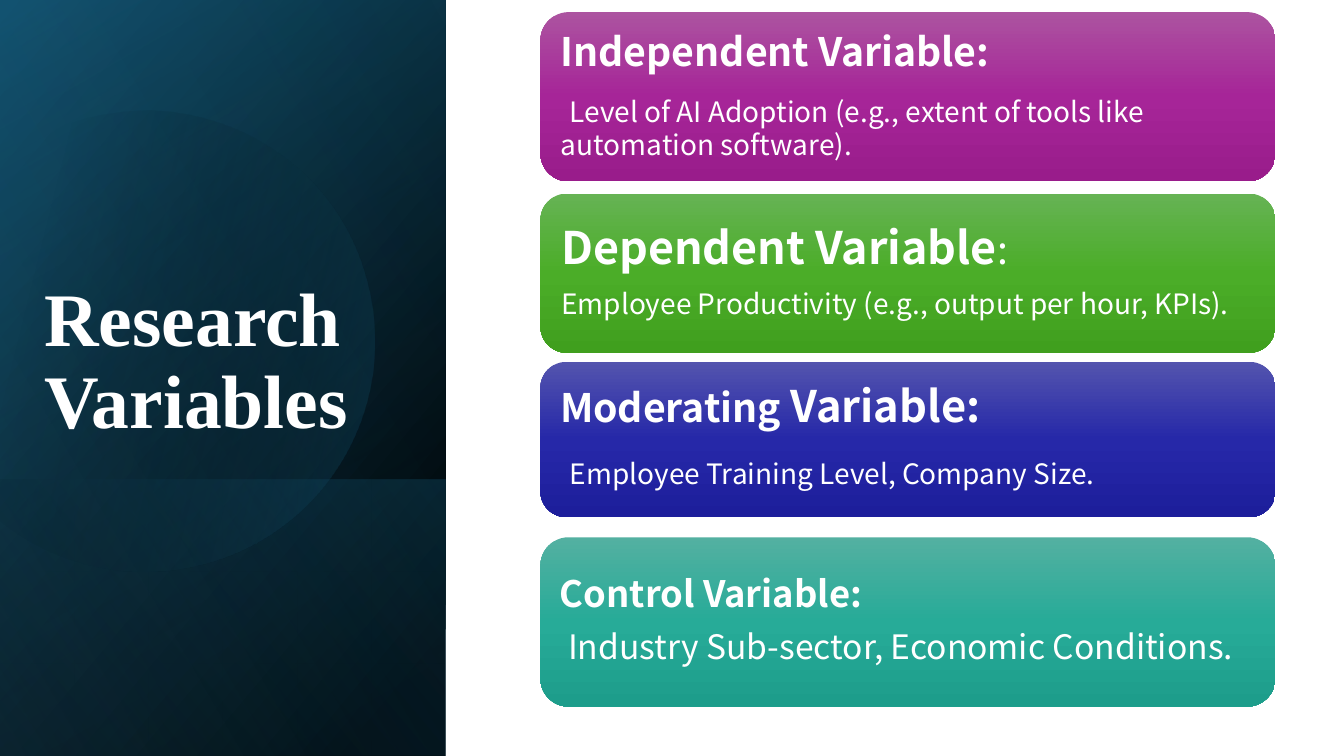
"""Build the Research Variables slide: a dark title panel beside four gradient cards."""
import math

from lxml import etree
from pptx import Presentation
from pptx import util as u
from pptx.dml.color import RGBColor
from pptx.enum import shapes, text
from pptx.oxml.ns import qn

COLORS = {
    "white": "FFFFFF", "black": "000000", "navy": "104862", "teal": "156082", "sky": "46B1E1",
    "purple light": "AC53A0", "purple": "A62598", "purple dark": "991C8B",
    "green light": "66B354", "green": "4BAD28", "green dark": "409F1E",
    "blue light": "5354AE", "blue": "2628A8", "blue dark": "1D1E9B",
    "mint light": "53B0A1", "mint": "27AB98", "mint dark": "1D9D8B",
}


def paint(shape, angle, stops):
    """Give a shape a linear gradient of (position, color, opacity) stops, with no line or shadow."""
    shape.shadow.inherit = False
    shape.line.fill.background()
    shape.fill.gradient()
    gradient = shape._element.spPr.find(qn("a:gradFill"))
    gradient.set("rotWithShape", "1")
    for child in list(gradient):
        gradient.remove(child)
    stop_list = etree.SubElement(gradient, qn("a:gsLst"))
    for position, color, opacity in stops:
        stop = etree.SubElement(stop_list, qn("a:gs"), pos=str(position * 1000))
        value = etree.SubElement(stop, qn("a:srgbClr"), val=COLORS[color])
        if opacity < 100:
            etree.SubElement(value, qn("a:alpha"), val=str(opacity * 1000))
    etree.SubElement(gradient, qn("a:lin"), ang=str(angle * 60000), scaled="0")


def add_span(para, words, size, bold, font):
    """Add one white run to a paragraph."""
    span = para.add_run()
    span.text = words
    for name, value in {"name": font, "size": u.Pt(size), "bold": bold}.items():
        setattr(span.font, name, value)
    span.font.color.rgb = RGBColor.from_string(COLORS["white"])


deck = Presentation()
deck.slide_width, deck.slide_height = u.Inches(13.33), u.Inches(7.5)
page = deck.slides.add_slide(deck.slide_layouts[6])

PANEL_WIDTH = 4.42
full, foot = (-1.54, 1.54, 7.5), (0.84, 3.92, 2.74)
layers = [
    (full, 50, [(8, "black", 100), (100, "navy", 100)]),
    (full, 30, [(0, "black", 0), (99, "teal", 46)]),
    (foot, 130, [(2, "teal", 29), (100, "black", 30)]),
    ("disc", 30, [(29, "black", 0), (100, "teal", 43)]),
    (full, 120, [(0, "black", 0), (99, "sky", 11)]),
]

DISC_TILT = 16.1
DISC_CENTER = (1.58, 3.34)
disc_start = (1.49, 1.1)
disc_outline = [
    [(2.46, 1.12), (3.35, 1.77), (3.63, 2.75)],
    [(3.98, 3.97), (3.28, 5.23), (2.07, 5.58)],
    [(1.31, 5.8), (0.53, 5.61), (-0.03, 5.14)],
    [(-0.15, 5.03)],
    [(-0.15, 1.75)],
    [(0, 1.61)],
    [(0.23, 1.42), (0.5, 1.28), (0.8, 1.19)],
    [(1.03, 1.13), (1.26, 1.1), (1.49, 1.1)],
]
cosine, sine = math.cos(math.radians(DISC_TILT)), math.sin(math.radians(DISC_TILT))
upright = []
for x, y in [disc_start] + [point for step in disc_outline for point in step]:
    across, down = x - DISC_CENTER[0], y - DISC_CENTER[1]
    upright.append((round(100 * (DISC_CENTER[0] + across * cosine - down * sine)),
                    round(100 * (DISC_CENTER[1] + across * sine + down * cosine))))

for place, angle, stops in layers:
    if place == "disc":
        builder = page.shapes.build_freeform(*upright[0], scale=u.Inches(0.01))
        builder.add_line_segments(upright[1:], close=True)
        layer = builder.convert_to_shape()
        layer.rotation = 360 - DISC_TILT
        corners = iter(list(layer._element.spPr.iter(qn("a:lnTo"))))
        for step in disc_outline:
            group = [next(corners) for _ in step]
            if len(group) == 3:
                curve = etree.Element(qn("a:cubicBezTo"))
                group[0].addprevious(curve)
                for corner in group:
                    curve.append(corner[0])
                    corner.getparent().remove(corner)
    else:
        left, top, length = place
        layer = page.shapes.add_shape(shapes.MSO_SHAPE.RECTANGLE, u.Inches(left), u.Inches(top),
                                      u.Inches(length), u.Inches(PANEL_WIDTH))
        layer.rotation = 90
        layer._element.spPr.find(qn("a:xfrm")).set("flipH", "1")
    paint(layer, angle, stops)

title = page.shapes.add_textbox(u.Inches(0.34), u.Inches(2.29), u.Inches(4.07), u.Inches(2.17))
title.text_frame.word_wrap = True
title.text_frame.vertical_anchor = text.MSO_ANCHOR.BOTTOM
title_para = title.text_frame.paragraphs[0]
title_para.line_spacing = 0.9
add_span(title_para, "Research Variables", 54, True, "Times New Roman")

cards = [
    (0.12, 1.68, 0.12, "purple", [
        [("Independent Variable:", 28, True)],
        [(" ", 28, True), ("Level of AI Adoption (e.g., extent of tools like automation software).", 20, False)]]),
    (1.92, 1.58, 0.13, "green", [
        [("Dependent Variable", 32, True), (":", 28, False)],
        [("Employee Productivity (e.g., output per hour, KPIs).", 20, False)]]),
    (3.59, 1.54, 0.12, "blue", [
        [("Moderating", 28, True), (" Variable:", 31, True)],
        [(" ", 31, True), ("Employee Training Level, Company Size.", 20, False)]]),
    (5.33, 1.68, 0.11, "mint", [
        [("Control Variable:", 26, True)],
        [(" ", 26, True), ("Industry Sub-sector, Economic Conditions.", 24, False)]]),
]
for top, height, inset, hue, lines in cards:
    card = page.shapes.add_shape(shapes.MSO_SHAPE.ROUNDED_RECTANGLE, u.Inches(5.36), u.Inches(top),
                                 u.Inches(7.29), u.Inches(height))
    paint(card, 90, [(0, f"{hue} light", 100), (50, hue, 100), (100, f"{hue} dark", 100)])
    frame = card.text_frame
    frame.word_wrap = True
    frame.vertical_anchor = text.MSO_ANCHOR.MIDDLE
    for side in ("left", "top", "right", "bottom"):
        setattr(frame, f"margin_{side}", u.Inches(inset))
    for number, line in enumerate(lines):
        para = frame.add_paragraph() if number else frame.paragraphs[0]
        para.alignment = text.PP_ALIGN.LEFT
        para.line_spacing = 0.9
        after = etree.SubElement(para._p.get_or_add_pPr(), qn("a:spcAft"))
        etree.SubElement(after, qn("a:spcPct"), val="35000")
        for words, size, bold in line:
            add_span(para, words, size, bold, "Noto Sans CJK SC")

deck.save("out.pptx")
